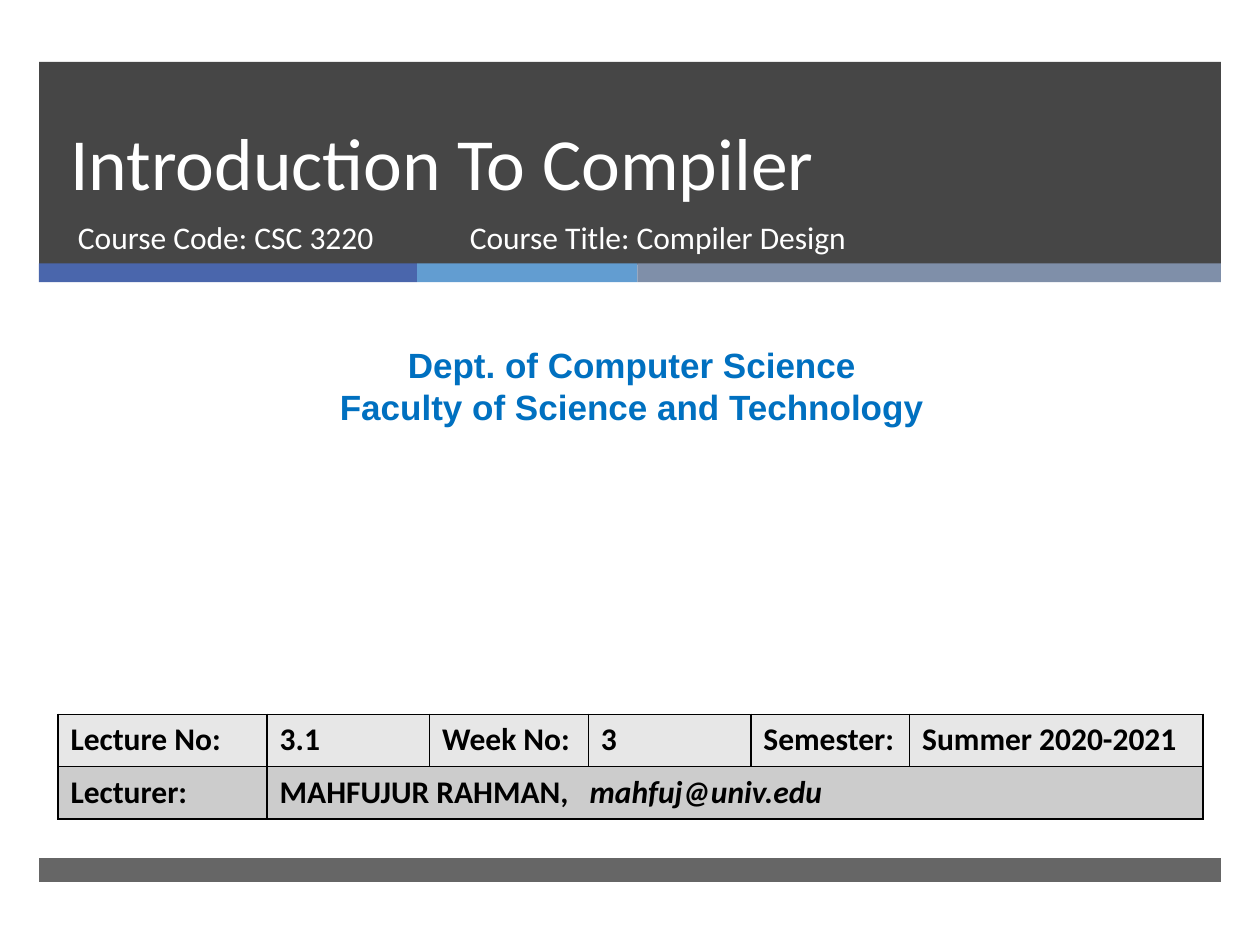
from dataclasses import dataclass

from lxml.etree import SubElement as Sub
from pptx import Presentation
from pptx.dml.color import RGBColor as Rgb
from pptx.enum.shapes import MSO_SHAPE as Shape
from pptx.enum.text import MSO_ANCHOR as Anchor, PP_ALIGN as Align
from pptx.oxml.ns import qn
from pptx.util import Inches, Pt


@dataclass(frozen=True)
class Theme:
    """Colours, fonts and type sizes."""
    dark: str = "262626"
    white: str = "FFFFFF"
    black: str = "000000"
    blue: str = "0070C0"
    bars: tuple = ("4A66AC", "629DD1", "7F8FA9")
    rows: tuple = ("E7E7E7", "CCCCCC")
    body: str = "Calibri"
    dept: str = "Arial"
    big: int = 42
    mid: int = 20
    small: int = 18


T = Theme()


def write(frame, *lines, size=T.small, color=T.white, font=T.body, bold=False,
          align=Align.LEFT, anchor=Anchor.TOP, pitch=None):
    """Write lines into a frame; a line is a list of (text, italic) or a string."""
    frame.word_wrap = True
    frame.vertical_anchor = anchor
    for i, line in enumerate(lines):
        para = frame.add_paragraph() if i else frame.paragraphs[0]
        para.alignment = align
        if pitch:
            para.line_spacing = Pt(pitch)
        for text, italic in [(line, False)] if isinstance(line, str) else line:
            run = para.add_run()
            run.text = text
            face = run.font
            face.size, face.name, face.bold = Pt(size), font, bold
            face.italic = italic
            face.color.rgb = Rgb.from_string(color)


def label(slide, box, *lines, **look):
    """Add a text box."""
    area = slide.shapes.add_textbox(*map(Inches, box))
    write(area.text_frame, *lines, **look)


def block(slide, box, color, alpha=100):
    """Add a plain filled rectangle with an opacity in percent."""
    rect = slide.shapes.add_shape(Shape.RECTANGLE, *map(Inches, box))
    rect.shadow.inherit = False
    rect.line.fill.background()
    rect.fill.solid()
    rect.fill.fore_color.rgb = Rgb.from_string(color)
    if alpha < 100:
        tone = rect.fill._xPr.find(".//" + qn("a:srgbClr"))
        Sub(tone, qn("a:alpha"), val=str(alpha * 1000))


def header(slide, left, top, width):
    """Draw the title band, its colour strip and the course lines."""
    block(slide, (left, top, width, 1.61), T.dark, 85)
    x = left
    for color, span in zip(T.bars, (3, 1.75, width - 4.75)):
        block(slide, (x, top + 1.6, span, 0.15), color)
        x += span
    label(slide, (left + 0.15, top, 8.54, 1.19), "Introduction To Compiler",
          size=T.big, anchor=Anchor.BOTTOM, pitch=46)
    for shift, span, text in ((0.21, 3.05, "Course Code: CSC 3220"),
                              (3.32, 4.55, "Course Title: Compiler Design")):
        label(slide, (left + shift, top + 1.19, span, 0.53), text)


def border(cell):
    """Give a cell thin black lines on every side."""
    props = cell._tc.get_or_add_tcPr()
    for i, side in enumerate(("lnL", "lnR", "lnT", "lnB")):
        line = props.makeelement(qn("a:" + side), {"w": str(Pt(1))})
        fill = Sub(line, qn("a:solidFill"))
        Sub(fill, qn("a:srgbClr"), val=T.black)
        props.insert(i, line)


def details(slide, left, top):
    """Add the lecture table."""
    cols, high = (1.66, 1.29, 1.26, 1.29, 1.26, 2.33), 0.415
    rows = (("Lecture No:", "3.1", "Week No:", "3", "Semester:",
             "Summer 2020-2021"),
            ("Lecturer:", [("MAHFUJUR RAHMAN,\t", False),
                           ("mahfuj@univ.edu", True)]))
    grid = slide.shapes.add_table(
        len(rows), len(cols), *map(Inches, (left, top, sum(cols), high * 2))).table
    for col, span in zip(grid.columns, cols):
        col.width = Inches(span)
    grid.cell(1, 1).merge(grid.cell(1, 5))
    for r, row in enumerate(rows):
        for c in range(len(cols)):
            cell = grid.cell(r, c)
            cell.fill.solid()
            cell.fill.fore_color.rgb = Rgb.from_string(T.rows[r])
            border(cell)
            if c < len(row):
                write(cell.text_frame, row[c], color=T.black, bold=True)
    props = grid.cell(1, 1).text_frame.paragraphs[0]._p.get_or_add_pPr()
    tabs = Sub(props, qn("a:tabLst"))
    Sub(tabs, qn("a:tab"), pos=str(Inches(2.46)), algn="l")


def cover(deck):
    """Build the opening slide of the lecture."""
    slide = deck.slides.add_slide(deck.slide_layouts[6])
    left, width = 0.31, 9.38
    header(slide, left, 0.49, width)
    block(slide, (left, 6.81, width, 0.19), T.dark, 70)
    label(slide, (0.08, 2.68, 9.87, 0.77), "Dept. of Computer Science",
          "Faculty of Science and Technology", size=T.mid, color=T.blue,
          font=T.dept, bold=True, align=Align.CENTER, pitch=24)
    details(slide, left + 0.15, 5.67)


deck = Presentation()
deck.slide_width, deck.slide_height = Inches(10), Inches(7.5)
cover(deck)
deck.save("out.pptx")
